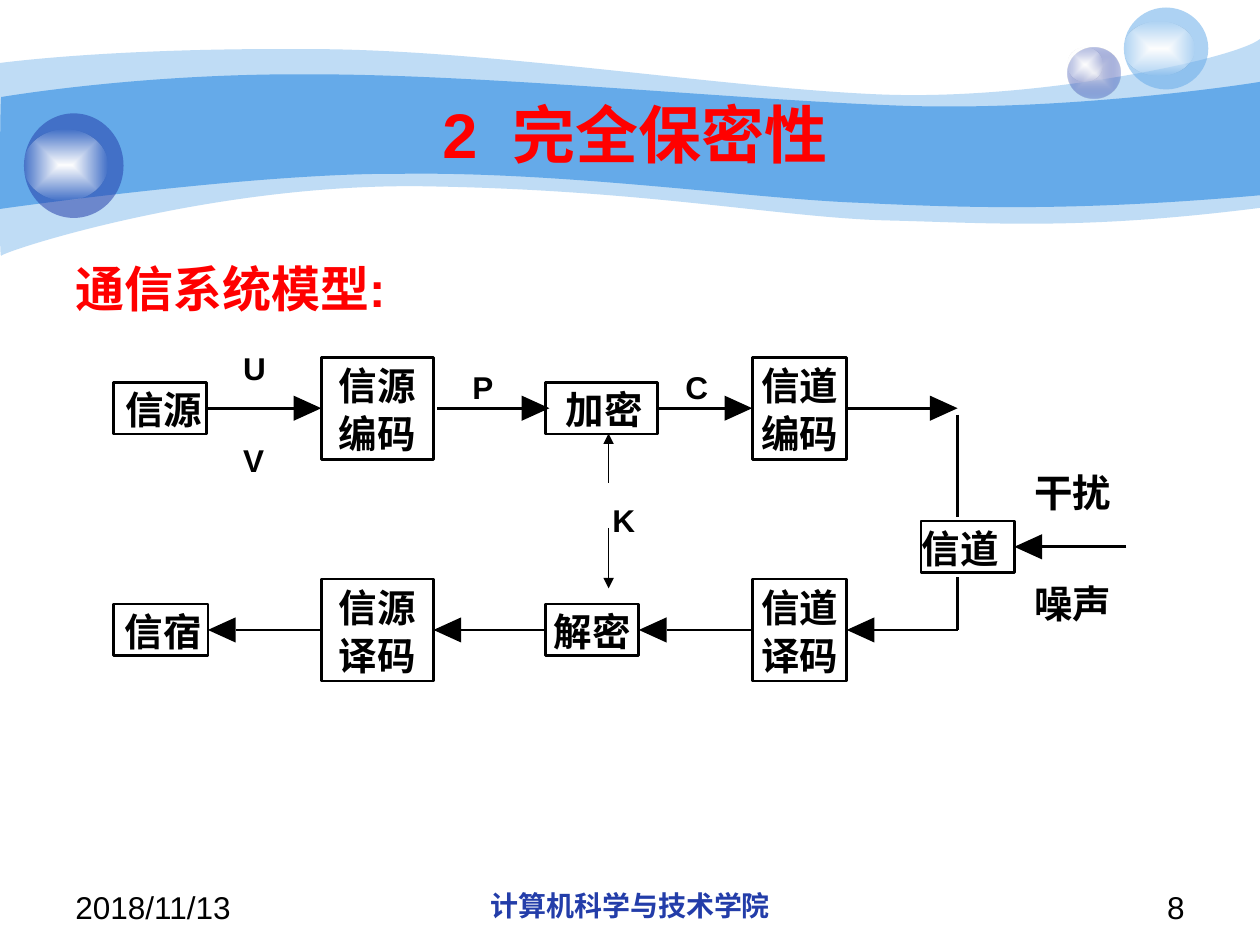
from lxml import etree
from pptx import Presentation
from pptx.dml.color import RGBColor
from pptx.enum.shapes import MSO_CONNECTOR, MSO_SHAPE
from pptx.enum.text import MSO_ANCHOR, PP_ALIGN
from pptx.oxml import parse_xml
from pptx.oxml.ns import nsdecls, qn
from pptx.util import Inches, Pt

LINE = MSO_CONNECTOR.STRAIGHT
RECT, OVAL = MSO_SHAPE.RECTANGLE, MSO_SHAPE.OVAL
MID, TOP = MSO_ANCHOR.MIDDLE, MSO_ANCHOR.TOP
LEFT, MIDST, RIGHT = PP_ALIGN.LEFT, PP_ALIGN.CENTER, PP_ALIGN.RIGHT

BLACK = RGBColor(0x00, 0x00, 0x00)
WHITE = RGBColor(0xFF, 0xFF, 0xFF)
RED = RGBColor(0xFF, 0x00, 0x00)
SKY = RGBColor(0x65, 0xAA, 0xE9)
NAVY = RGBColor(0x23, 0x3D, 0xA9)
PEARL = RGBColor(0xE1, 0xE2, 0xED)
LATIN, HAN = "Arial", "Noto Sans CJK SC"

# Diagram grid: left edges of the columns, centre lines of the rows
COLS = (0.9, 2.55, 4.33, 5.97, 7.31, 8.2)
ROWS = (3.24, 4.34, 5.0, 3.9, 4.78)
BEND = 7.6                 # x of the line through the channel
HEAD, HALF = 0.22, 0.1     # arrowhead length and half width

NODES = {                  # name: column, row, width, shift of text, edge, lines
    "source": (0, 0, 0.74, 0.03, BLACK, ["信源"]),
    "coder": (1, 0, 0.89, 0, BLACK, ["信源", "编码"]),
    "cipher": (2, 0, 0.89, 0.02, BLACK, ["加密"]),
    "sender": (3, 0, 0.75, 0, BLACK, ["信道", "编码"]),
    "channel": (4, 1, 0.74, -0.06, BLACK, ["信道"]),
    "sink": (0, 2, 0.75, 0.02, BLACK, ["信宿"]),
    "decoder": (1, 2, 0.89, 0, BLACK, ["信源", "译码"]),
    "decipher": (2, 2, 0.74, 0, BLACK, ["解密"]),
    "getter": (3, 2, 0.75, 0, BLACK, ["信道", "译码"]),
    "jam": (5, 3, 0.75, -0.06, WHITE, ["干扰"]),
    "noise": (5, 4, 0.75, -0.06, WHITE, ["噪声"]),
}
FLOWS = (                  # start node, its side, start x, tip x, row
    ("source", 3, 1.64, 2.55, 0), (None, 0, 3.47, 4.36, 0),
    ("cipher", 3, 5.22, 5.97, 0), ("sender", 3, 6.72, BEND, 0),
    (None, 0, BEND, 6.72, 2), ("getter", 1, 5.97, 5.07, 2),
    ("decipher", 1, 4.33, 3.44, 2), ("decoder", 1, 2.55, 1.65, 2),
    (None, 0, 8.94, 8.05, 1),
)
MARKS = (                  # text, left, centre y
    ("U", 1.93, 2.92), ("V", 1.93, 3.65), ("P", 3.75, 3.07),
    ("C", 5.44, 3.07), ("K", 4.86, 4.13),
)
BANDS = (                  # alpha, start, curves, right corner, curves back
    (41, (0, 0.5),
     [(0.24, 0.47, 1.07, 0.38, 2.47, 0.39), (3.86, 0.39, 5.75, 0.7, 6.99, 0.75),
      (8.22, 0.8, 9.8, 0.47, 10, 0.31)], (10, 1.65),
     [(8.58, 1.83, 7.87, 1.77, 7.05, 1.75), (6.22, 1.73, 5.15, 1.51, 3.43, 1.48),
      (1.72, 1.44, 0.04, 1.99, 0.01, 2.03), (-0.01, 2.08, 0, 0.75, 0, 0.5)]),
    (100, (0.01, 0.77),
     [(0.02, 0.77, 1.1, 0.58, 2.48, 0.59), (3.86, 0.59, 5.95, 0.8, 7.18, 0.84),
      (8.41, 0.88, 9.76, 0.69, 10, 0.65)], (10, 1.55),
     [(8.53, 1.68, 7.65, 1.65, 6.82, 1.61), (5.99, 1.58, 4.47, 1.36, 3.17, 1.38),
      (2.03, 1.37, -0.02, 1.66, -0.01, 1.66), (0, 1.66, 0, 0.77, 0.01, 0.77)]),
)
GLOW = [(0, WHITE, 100), (100, WHITE, 0)]
BALLS = (                  # place, gradient stops or (colour, alpha)
    ((8.47, 0.38, 0.42, 0.4), [(0, PEARL, 100), (100, NAVY, 31)]),
    ((8.47, 0.38, 0.28, 0.27), GLOW),
    ((8.92, 0.06, 0.67, 0.65), (SKY, 53)),
    ((8.92, 0.17, 0.56, 0.43), GLOW),
    ((0.19, 0.9, 0.79, 0.83), (NAVY, 53)),
    ((0.19, 1.03, 0.66, 0.56), GLOW),
)


def paint(shape, tone, alpha=100):
    shape.shadow.inherit = False
    shape.line.fill.background()
    shape.fill.solid()
    shape.fill.fore_color.rgb = tone
    if alpha < 100:
        tint = shape._element.spPr.find(qn("a:solidFill"))[0]
        etree.SubElement(tint, qn("a:alpha"), val=str(alpha * 1000))


def shade(shape, stops):
    paint(shape, WHITE)
    marks = "".join(
        f'<a:gs pos="{pos * 1000}"><a:srgbClr val="{tone}">'
        f'<a:alpha val="{alpha * 1000}"/></a:srgbClr></a:gs>'
        for pos, tone, alpha in stops)
    props = shape._element.spPr
    props.replace(props.find(qn("a:solidFill")), parse_xml(
        f'<a:gradFill {nsdecls("a")} rotWithShape="1"><a:gsLst>{marks}</a:gsLst>'
        '<a:path path="shape"><a:fillToRect l="50000" t="50000" r="50000"'
        ' b="50000"/></a:path></a:gradFill>'))


def write(frame, lines, size, tone=BLACK, bold=True, face=LATIN,
          align=LEFT, anchor=TOP, pad=None, pitch=None):
    frame.word_wrap = True
    frame.vertical_anchor = anchor
    if pad is not None:
        for side in ("left", "top", "right", "bottom"):
            setattr(frame, f"margin_{side}", Inches(pad))
    frame.text = "\n".join(lines)
    looks = {"size": Pt(size), "bold": bold, "name": face}
    for para in frame.paragraphs:
        para.alignment = align
        para.space_before = Pt(0)
        para.line_spacing = pitch
        font = para.runs[0].font
        font.color.rgb = tone
        for key, value in looks.items():
            setattr(font, key, value)
        etree.SubElement(font._element, qn("a:ea"), typeface=HAN)


def label(slide, place, text, size, **looks):
    box = slide.shapes.add_textbox(*map(Inches, place))
    write(box.text_frame, [text], size, **looks)


def outline(slide, points, tone, alpha=100):
    dots = [(Inches(x), Inches(y)) for x, y in points]
    pen = slide.shapes.build_freeform(*dots[0], scale=1.0)
    pen.add_line_segments(dots[1:], close=True)
    shape = pen.convert_to_shape()
    paint(shape, tone, alpha)
    return shape


def band(slide, alpha, start, upper, corner, lower):
    """Outline through the knots, its sides then bent into Bézier curves."""
    bends = upper + [None] + lower
    knots = [start] + [bend[4:] if bend else corner for bend in bends]
    shape = outline(slide, knots, SKY, alpha)
    for side, bend in zip(list(shape._element.iter(qn("a:lnTo"))), bends):
        if bend:
            side.tag = qn("a:cubicBezTo")
            for spot, (x, y) in enumerate((bend[:2], bend[2:4])):
                side.insert(spot, etree.Element(
                    qn("a:pt"), x=str(Inches(x) - shape.left),
                    y=str(Inches(y) - shape.top)))


def wire(slide, start, end, width=1.5, arrow=False):
    line = slide.shapes.add_connector(LINE, *map(Inches, start + end))
    line.line.color.rgb = BLACK
    line.line.width = Pt(width)
    if arrow:
        etree.SubElement(line.line._get_or_add_ln(), qn("a:tailEnd"), type="triangle")
    etree.SubElement(line._element.spPr, qn("a:effectLst"))
    return line


def node(slide, col, row, width, shift, edge, lines):
    high = 0.41 if len(lines) == 1 else 0.81
    place = (COLS[col], ROWS[row] - high / 2, width, high)
    box = slide.shapes.add_shape(RECT, *map(Inches, place))
    paint(box, WHITE)
    box.line.color.rgb = edge
    box.line.width = Pt(1.5)
    frame = box.text_frame
    write(frame, lines, 22, face=HAN, align=MIDST, anchor=MID,
          pad=0, pitch=Pt(27.5))
    frame.margin_left = Inches(max(0, 2 * shift))
    frame.margin_right = Inches(max(0, -2 * shift))
    return box


def flow(slide, box, side, start, tip, row):
    y = ROWS[row]
    neck = tip - HEAD if tip > start else tip + HEAD
    line = wire(slide, (start, y), (neck, y))
    if box:
        line.begin_connect(box, side)
    outline(slide, [(neck, y - HALF), (tip, y), (neck, y + HALF)], BLACK)


def scene(slide):
    for spec in BANDS:
        band(slide, *spec)
    for place, look in BALLS:
        ball = slide.shapes.add_shape(OVAL, *map(Inches, place))
        if isinstance(look, list):
            shade(ball, look)
        else:
            paint(ball, *look)


def heads(slide):
    title, body = slide.placeholders
    spots = ((title, (1, 0.75, 8.08, 0.62)), (body, (0.5, 2, 9, 4.92)))
    for holder, place in spots:
        for key, value in zip(("left", "top", "width", "height"), place):
            setattr(holder, key, Inches(value))
        slide.shapes._spTree.append(holder._element)   # in front of the bands
    write(title.text_frame, ["2  完全保密性"], 36, RED, align=MIDST, anchor=MID)
    write(body.text_frame, ["通信系统模型:"], 28, RED)
    # Hanging indent without a bullet
    props = body.text_frame.paragraphs[0]._p.get_or_add_pPr()
    props.set("marL", str(Inches(0.38)))
    props.set("indent", str(-Inches(0.38)))
    etree.SubElement(props, qn("a:buNone"))


def model(slide):
    boxes = {name: node(slide, *spec) for name, spec in NODES.items()}
    for name, *rest in FLOWS:
        flow(slide, boxes.get(name), *rest)
    # Line through the channel, then the two key arrows
    wire(slide, (BEND, 3.29), (BEND, 4.1))
    wire(slide, (BEND, 4.58), (BEND, ROWS[2]))
    for start, end in ((3.83, 3.44), (4.19, 4.67)):
        wire(slide, (4.83, start), (4.83, end), 0.75, True)
    for text, x, y in MARKS:
        label(slide, (x, y - 0.15, 0.3, 0.3), text, 18, pad=0, anchor=MID)


def foot(slide):
    label(slide, (0.5, 7, 2.33, 0.35), "2018/11/13", 18, bold=False)
    label(slide, (3.42, 7, 3.17, 0.35), "计算机科学与技术学院", 16,
          tone=NAVY, align=MIDST)
    label(slide, (7.17, 7, 2.33, 0.35), "8", 18, bold=False, align=RIGHT)


def main():
    deck = Presentation()
    deck.slide_width, deck.slide_height = Inches(10), Inches(7.5)
    slide = deck.slides.add_slide(deck.slide_layouts[1])
    for part in (scene, heads, model, foot):
        part(slide)
    deck.save("out.pptx")


if __name__ == "__main__":
    main()
